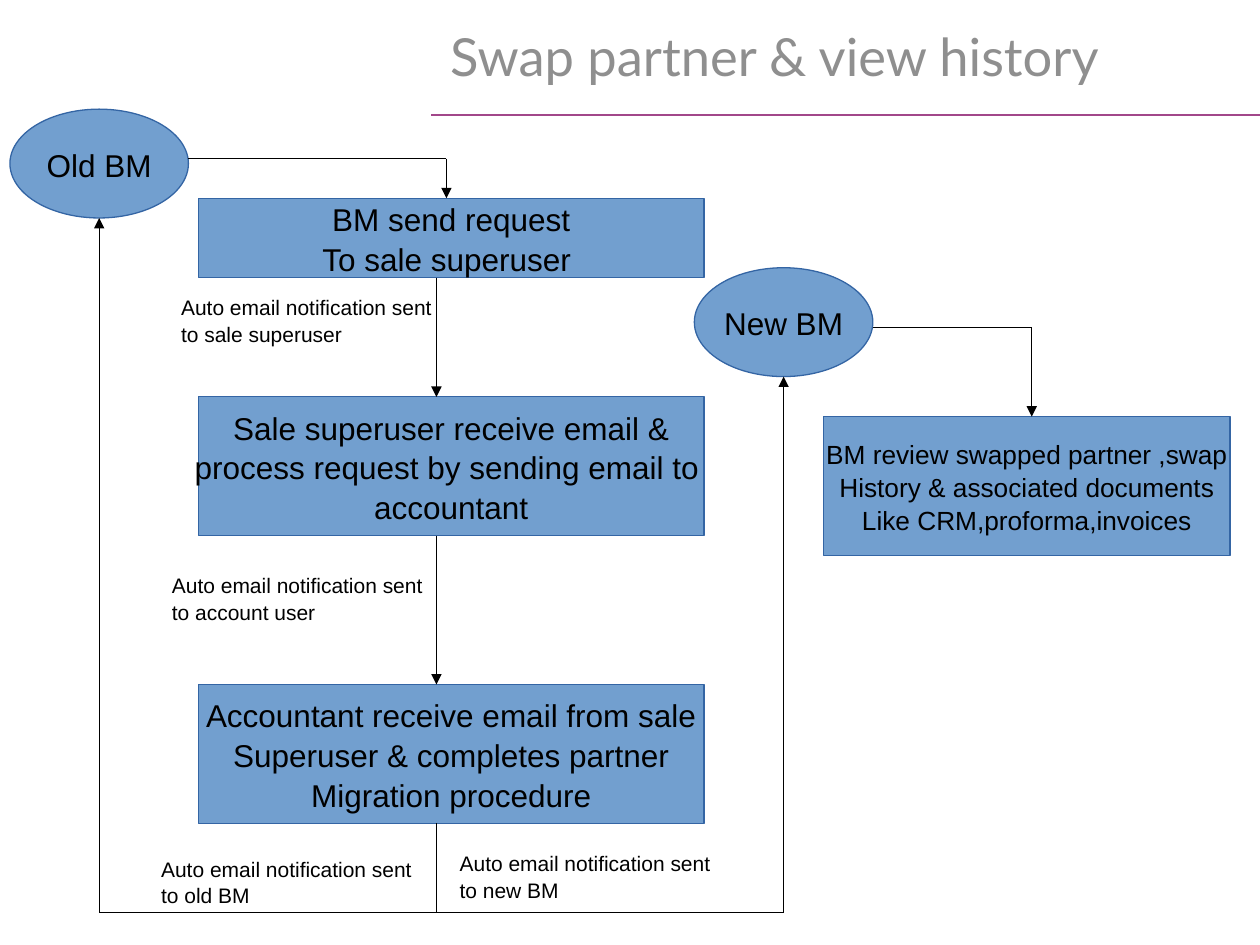
from pptx import Presentation
from pptx import util as u
from pptx.dml.color import RGBColor
from pptx.enum import shapes, text
from pptx.oxml import ns
from lxml import etree

COLORS = {
    "title": "8F8F8F",
    "rule": "A2478A",
    "fill": "729FCF",
    "outline": "3465A4",
    "ink": "000000",
}
MARGIN_X, MARGIN_Y = 7.2, 3.6


def write_lines(shape, lines, size, align, wrap, font="Arial", color="ink"):
    frame = shape.text_frame
    frame.word_wrap = wrap
    frame.auto_size = text.MSO_AUTO_SIZE.NONE
    frame.margin_left = frame.margin_right = u.Pt(MARGIN_X)
    frame.margin_top = frame.margin_bottom = u.Pt(MARGIN_Y)
    for index, line in enumerate(lines):
        paragraph = frame.add_paragraph() if index else frame.paragraphs[0]
        paragraph.alignment = align
        paragraph.line_spacing = 1.05
        run = paragraph.add_run()
        run.text = line
        run.font.name = font
        run.font.size = u.Pt(size)
        run.font.color.rgb = RGBColor.from_string(COLORS[color])


def draw_line(start, end, arrow=False, color="ink", width=0.75):
    line = slide.shapes.add_connector(
        shapes.MSO_CONNECTOR.STRAIGHT, *map(u.Pt, (*start, *end)))
    line.line.color.rgb = RGBColor.from_string(COLORS[color])
    line.line.width = u.Pt(width)
    properties = line._element.spPr
    if arrow:
        outline = properties.find(ns.qn("a:ln"))
        etree.SubElement(outline, ns.qn("a:tailEnd"), type="triangle")
    etree.SubElement(properties, ns.qn("a:effectLst"))


presentation = Presentation()
presentation.slide_width = u.Pt(720)
presentation.slide_height = u.Pt(540)
slide = presentation.slides.add_slide(presentation.slide_layouts[5])

draw_line((246.5, 65.7), (720, 65.7), color="rule", width=1)

title = slide.shapes.title
title.left, title.top, title.width, title.height = map(u.Pt, (250, 11.5, 437, 39))
title.text_frame.vertical_anchor = text.MSO_ANCHOR.MIDDLE
write_lines(title, ["Swap partner & view history"], 30, text.PP_ALIGN.LEFT, True,
            "Lato", "title")

RECTANGLE = shapes.MSO_SHAPE.RECTANGLE
OVAL = shapes.MSO_SHAPE.OVAL
steps = [
    (RECTANGLE, (113.3, 113.3, 289, 45.3), 18,
     ["BM send request", "To sale superuser "]),
    (RECTANGLE, (113.3, 226.8, 289, 79.3), 18,
     ["Sale superuser receive email &", "process request by sending email to ",
      "accountant"]),
    (RECTANGLE, (113.3, 391.2, 289, 79.3), 18,
     ["Accountant receive email from sale", "Superuser & completes partner",
      "Migration procedure"]),
    (RECTANGLE, (470.6, 238.1, 232.3, 79.3), 15,
     ["BM review swapped partner ,swap", "History & associated documents",
      "Like CRM,proforma,invoices"]),
    (OVAL, (5.7, 62.4, 102, 62.2), 18, ["Old BM"]),
    (OVAL, (396.8, 153, 102, 62.2), 18, ["New BM"]),
]
for kind, box, size, lines in steps:
    shape = slide.shapes.add_shape(kind, *map(u.Pt, box))
    shape.shadow.inherit = False
    shape.fill.solid()
    shape.fill.fore_color.rgb = RGBColor.from_string(COLORS["fill"])
    shape.line.color.rgb = RGBColor.from_string(COLORS["outline"])
    shape.line.width = u.Pt(0.75)
    shape.text_frame.vertical_anchor = text.MSO_ANCHOR.MIDDLE
    write_lines(shape, lines, size, text.PP_ALIGN.CENTER, False)

trunk_x, old_x, new_x, bottom_y = 249.4, 56.7, 447.8, 521.5
draw_line((trunk_x, 158.6), (trunk_x, 226.8), True)
draw_line((trunk_x, 306.1), (trunk_x, 391.2), True)
draw_line((trunk_x, 470.5), (trunk_x, bottom_y))
for branch_x, oval_bottom in ((old_x, 124.6), (new_x, 215.2)):
    draw_line((trunk_x, bottom_y), (branch_x, bottom_y))
    draw_line((branch_x, bottom_y), (branch_x, oval_bottom), True)
for start_x, corner_x, corner_y, end_y in ((107.7, 255.1, 90.7, 113.3),
                                           (498.8, 589.6, 187.1, 238.1)):
    draw_line((start_x, corner_y), (corner_x, corner_y))
    draw_line((corner_x, corner_y), (corner_x, end_y), True)

notes = [
    (96.4, 164.3, 221, "to sale superuser"),
    (91.2, 323.1, 158, "to account user"),
    (255.6, 481.9, 158, "to new BM"),
    (85, 485.2, 158, "to old BM"),
]
for left, top, width, recipient in notes:
    note = slide.shapes.add_textbox(*map(u.Pt, (left, top, width, 47.5)))
    write_lines(note, ["Auto email notification sent", recipient], 12,
                text.PP_ALIGN.LEFT, True)

presentation.save("out.pptx")
